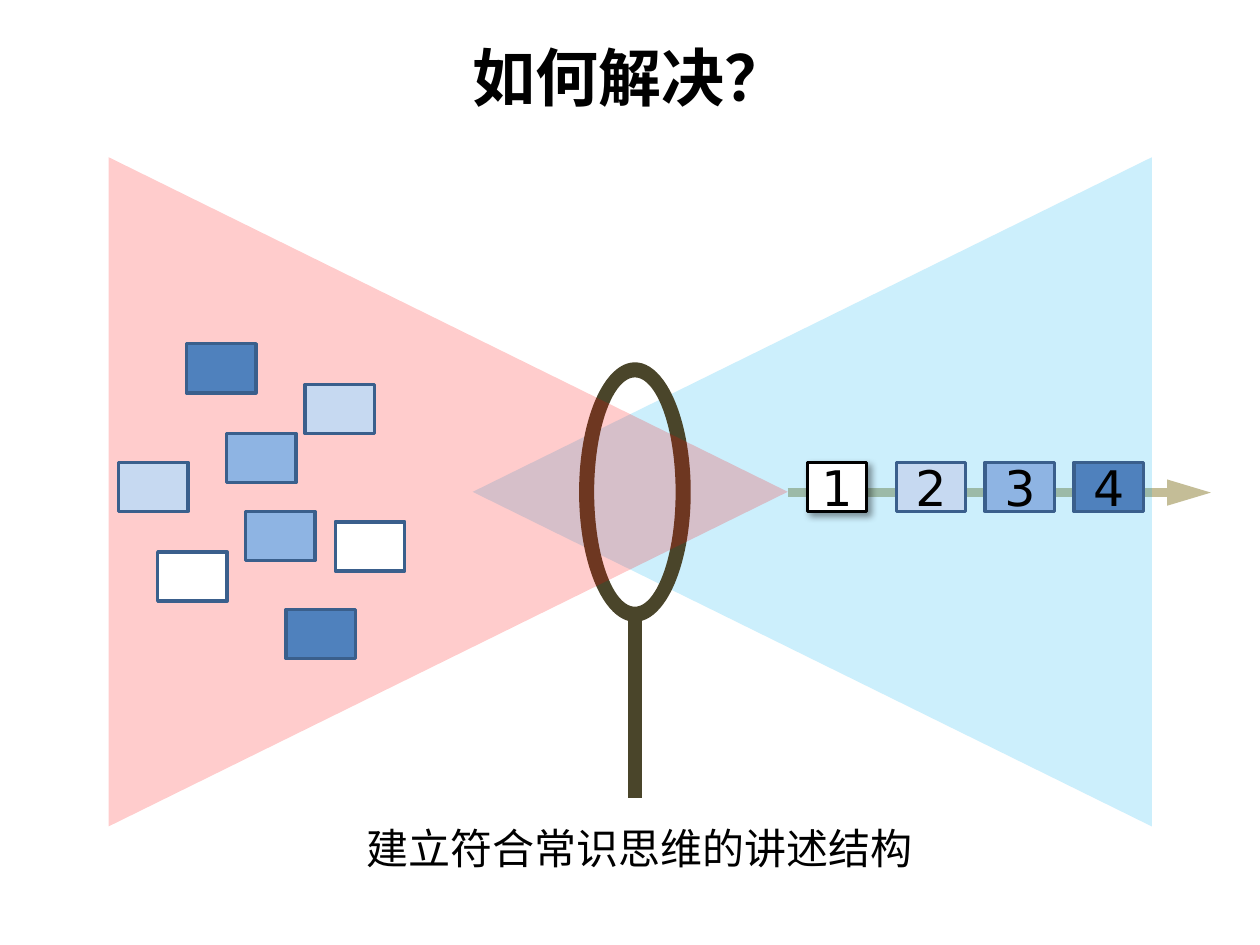
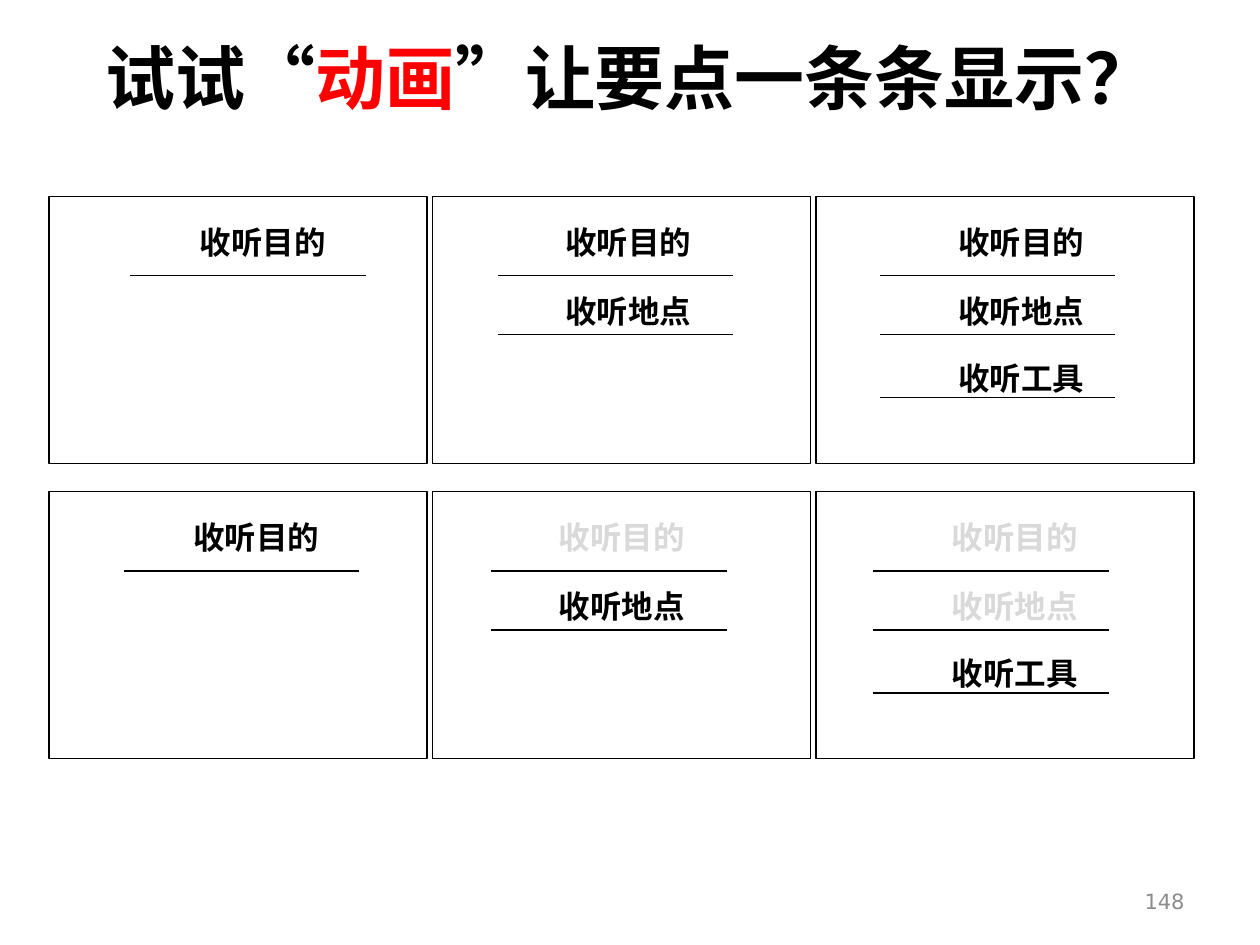
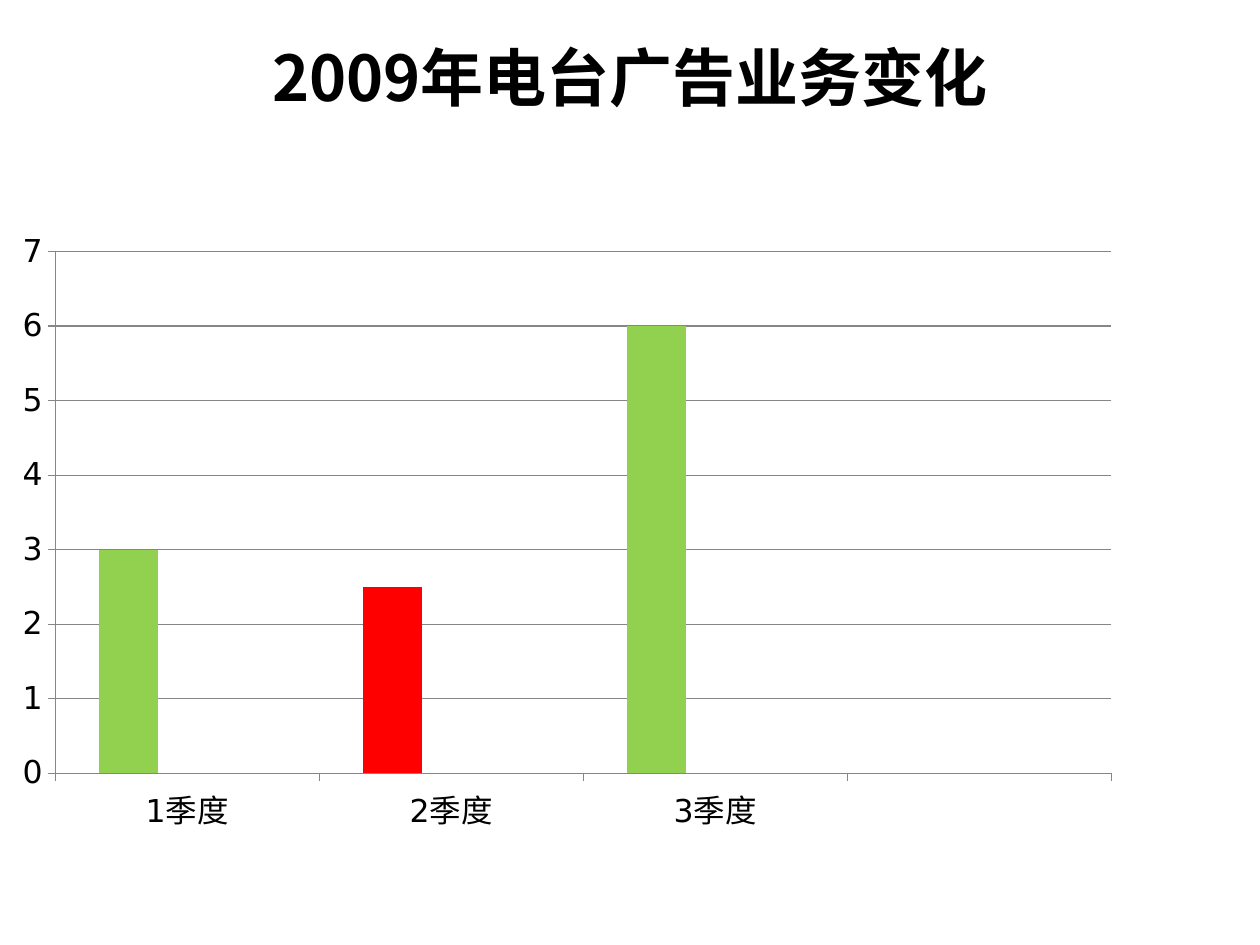
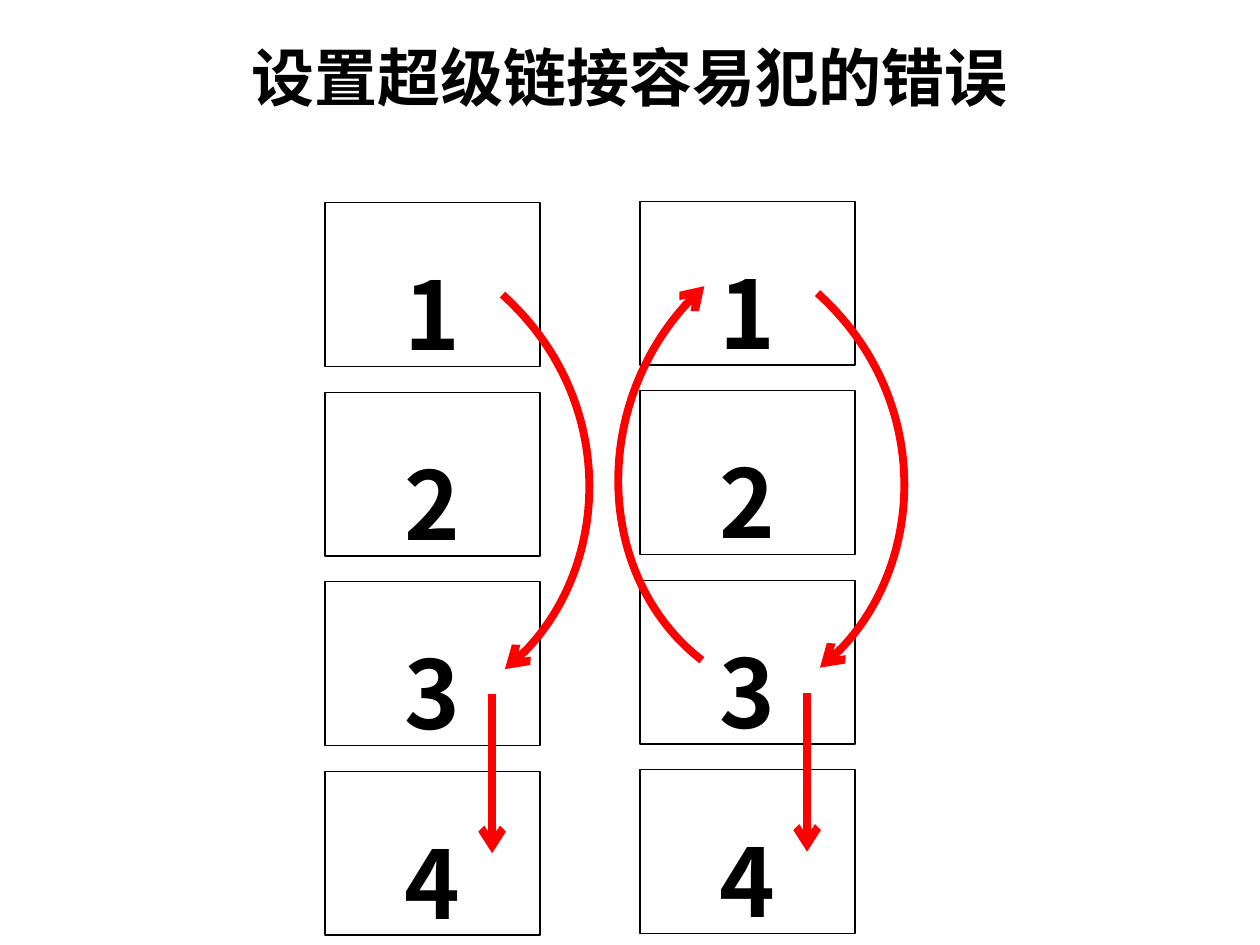
from lxml.etree import SubElement
from pptx import Presentation
from pptx.chart.data import CategoryChartData
from pptx.dml.color import RGBColor
from pptx.enum.chart import XL_CHART_TYPE, XL_TICK_MARK
from pptx.enum.shapes import MSO_CONNECTOR, MSO_SHAPE
from pptx.enum.text import MSO_ANCHOR, MSO_AUTO_SIZE, PP_ALIGN
from pptx.oxml.ns import qn
from pptx.util import Cm, Pt

BLACK = RGBColor(0x00, 0x00, 0x00)
WHITE = RGBColor(0xFF, 0xFF, 0xFF)
RED = RGBColor(0xFF, 0x00, 0x00)
GREEN = RGBColor(0x92, 0xD0, 0x50)
SKY = RGBColor(0x00, 0xB0, 0xF0)
SAND = RGBColor(0xC4, 0xBD, 0x97)
OLIVE = RGBColor(0x4A, 0x45, 0x2A)
BLUE = RGBColor(0x4F, 0x81, 0xBD)
MID_BLUE = RGBColor(0x8E, 0xB4, 0xE3)
PALE_BLUE = RGBColor(0xC6, 0xD9, 0xF1)
CARD_EDGE = RGBColor(0x3A, 0x5F, 0x8C)
BRICK = RGBColor(0xC0, 0x50, 0x4D)
LEAF = RGBColor(0x9B, 0xBB, 0x59)
FADED = RGBColor(0xD9, 0xD9, 0xD9)
PAGE_GRAY = RGBColor(0x8C, 0x8C, 0x8C)
GRID_GRAY = RGBColor(0x86, 0x86, 0x86)

CJK = "Noto Sans CJK SC"
SANS = "DejaVu Sans"
TITLE_FONT = {"name": CJK, "size": Pt(36), "bold": True}
CAPTION_FONT = {"name": CJK, "size": Pt(24)}
POINT_FONT = {"name": CJK, "size": Pt(18), "bold": True}
STEP_FONT = {"name": CJK, "size": Pt(54), "bold": True}
CARD_FONT = {"name": SANS, "size": Pt(28)}
PAGE_FONT = {"name": SANS, "size": Pt(12)}
CHART_FONT = {"name": SANS, "size": Pt(18)}
CENTERED = {"alignment": PP_ALIGN.CENTER}
STEP_PARAGRAPH = {**CENTERED, "line_spacing": 1.5, "space_after": Pt(6)}
MIDDLE = {"word_wrap": True, "vertical_anchor": MSO_ANCHOR.MIDDLE}
GROWING = {"word_wrap": True, "auto_size": MSO_AUTO_SIZE.SHAPE_TO_FIT_TEXT}
UNWRAPPED = {**GROWING, "word_wrap": False}


def apply(target, values):
    for attribute, value in values.items():
        setattr(target, attribute, value)


def write(frame, runs, font, paragraph=CENTERED, layout=MIDDLE):
    apply(frame, layout)
    line = frame.paragraphs[0]
    apply(line, paragraph)
    for text, color in runs:
        run = line.add_run()
        run.text = text
        apply(run.font, font)
        run.font.color.rgb = color
        properties = run.font._element
        properties.set("lang", "zh-CN")
        SubElement(properties, qn("a:ea"), typeface=font["name"])


def add_text(shapes, box, runs, font, **options):
    textbox = shapes.add_textbox(*map(Cm, box))
    write(textbox.text_frame, runs, font, **options)


def add_title(slide, *runs, size=36):
    add_text(slide.shapes, (1.27, 0.53, 22.86, 2.01), runs,
             {**TITLE_FONT, "size": Pt(size)})


def set_line(line, color, width):
    line.color.rgb = color
    line.width = Pt(width)


def add_figure(shapes, kind, box, fill=None, edge=None, width=0.75):
    figure = shapes.add_shape(kind, *map(Cm, box))
    figure.shadow.inherit = False
    if fill is None:
        figure.fill.background()
    else:
        figure.fill.solid()
        figure.fill.fore_color.rgb = fill
    if edge is None:
        figure.line.fill.background()
    else:
        set_line(figure.line, edge, width)
    return figure


def add_arrowhead(line, end, kind, length="med"):
    SubElement(line._get_or_add_ln(), qn(f"a:{end}End"),
               type=kind, w="med", len=length)


def add_line(shapes, start, end, color=BLACK, width=0.75):
    line = shapes.add_connector(MSO_CONNECTOR.STRAIGHT, *map(Cm, start + end))
    set_line(line.line, color, width)
    SubElement(line._element.spPr, qn("a:effectLst"))
    return line


def add_curve(shapes, points, arrow_end):
    start, *others = [(Cm(x), Cm(y)) for x, y in points]
    builder = shapes.build_freeform(*start)
    builder.add_line_segments(others, close=False)
    curve = builder.convert_to_shape()
    curve.shadow.inherit = False
    curve.fill.background()
    set_line(curve.line, RED, 4.5)
    add_arrowhead(curve.line, arrow_end, "arrow")
    segments = list(curve._element.iter(qn("a:lnTo")))
    outline = segments[0].getparent()
    bezier = SubElement(outline, qn("a:cubicBezTo"))
    for segment in segments:
        bezier.append(segment[0])
        outline.remove(segment)


def add_beam(shapes, left, color, rotation):
    beam = add_figure(shapes, MSO_SHAPE.ISOSCELES_TRIANGLE,
                      (left, 3.07, 13.49, 13.69), color)
    beam.rotation = rotation
    tint = beam._element.spPr.find(f"{qn('a:solidFill')}/{qn('a:srgbClr')}")
    SubElement(tint, qn("a:alpha"), val="20000")


def add_card(shapes, left, top, fill, number=None, edge=CARD_EDGE, width=1.4):
    card = add_figure(shapes, MSO_SHAPE.RECTANGLE, (left, top, width, 0.99),
                      fill, edge, 2)
    if number:
        write(card.text_frame, [(number, BLACK)], CARD_FONT)
    return card


def add_card_shadow(card):
    effects = card._element.spPr.find(qn("a:effectLst"))
    shadow = SubElement(effects, qn("a:outerShdw"), blurRad=str(Pt(4)),
                        dist=str(Pt(3)), dir="2700000", algn="tl", rotWithShape="0")
    color = SubElement(shadow, qn("a:srgbClr"), val=str(BLACK))
    SubElement(color, qn("a:alpha"), val="40000")


def build_lens(slide):
    shapes = slide.shapes
    sequence = add_line(shapes, (15.88, 9.93), (24.41, 9.93), SAND, 5)
    add_arrowhead(sequence.line, "tail", "triangle", "lg")
    add_title(slide, ("如何解决？", BLACK))
    add_beam(shapes, 9.63, SKY, 270)
    add_text(shapes, (4.57, 16.46, 16.66, 1.27), [("建立符合常识思维的讲述结构", BLACK)],
             CAPTION_FONT, layout=GROWING)
    lens = add_figure(shapes, MSO_SHAPE.DONUT, (11.71, 7.34, 2.18, 5.16),
                      OLIVE, OLIVE, 2)
    lens.adjustments[0] = 0.107
    add_beam(shapes, 2.29, RED, 90)
    add_line(shapes, (12.8, 12.5), (12.8, 16.08), OLIVE, 8)

    scattered = [
        (3.76, 6.93, BLUE), (4.57, 8.74, MID_BLUE), (6.15, 7.75, PALE_BLUE),
        (3.18, 11.13, WHITE), (6.76, 10.52, WHITE), (4.95, 10.31, MID_BLUE),
        (5.77, 12.29, BLUE), (2.39, 9.32, PALE_BLUE),
    ]
    for left, top, fill in scattered:
        add_card(shapes, left, top, fill)

    add_card_shadow(add_card(shapes, 16.28, 9.32, WHITE, "1", BLACK, 1.19))
    for place, fill in enumerate((PALE_BLUE, MID_BLUE, BLUE), 1):
        add_card(shapes, 16.28 + 1.79 * place, 9.32, fill, str(place + 1))


def add_panel(shapes, column, top, shift, fade):
    points = ("收听目的", "收听地点", "收听工具")[:column + 1]
    rule_left = (2.62, 10.03, 17.73)[column] - shift
    text_left = (3.76, 11.13, 19.05)[column] - shift
    add_figure(shapes, MSO_SHAPE.RECTANGLE,
               (0.99 + 7.73 * column, top, 7.62, 5.38), edge=BLACK)
    for offset in (1.6, 2.79, 4.06)[:column + 1]:
        add_line(shapes, (rule_left, top + offset), (rule_left + 4.75, top + offset))
    for point, offset in zip(points, (0.41, 1.8, 3.15)):
        color = FADED if fade and point != points[-1] else BLACK
        add_text(shapes, (text_left, top + offset, 3.07, 1.02),
                 [(point, color)], POINT_FONT, layout=UNWRAPPED)


def build_animation(slide):
    add_text(slide.shapes, (18.21, 17.65, 5.92, 1.02), [("148", PAGE_GRAY)],
             PAGE_FONT, paragraph={"alignment": PP_ALIGN.RIGHT})
    add_title(slide, ("试试“", BLACK), ("动画", RED),
              ("”让要点一条条显示？", BLACK), size=40)
    for column in range(3):
        add_panel(slide.shapes, column, 3.96, 0, False)
    for column in range(3):
        add_panel(slide.shapes.add_group_shape().shapes, column, 9.91, 0.13, True)


def build_chart(slide):
    add_title(slide, ("2009年电台广告业务变化", BLACK))
    data = CategoryChartData()
    data.categories = ["1季度", "2季度", "3季度", ""]
    data.add_series("Series 1", (3, 2.5, 6, None))
    for name in ("Series 2", "Series 3"):
        data.add_series(name, (None,) * 4)
    chart = slide.shapes.add_chart(XL_CHART_TYPE.COLUMN_CLUSTERED,
                                   Cm(0), Cm(4.45), Cm(22.86), Cm(12.57), data).chart
    apply(chart, {"has_legend": False, "has_title": False})
    apply(chart.font, CHART_FONT)
    chart.font.color.rgb = BLACK

    plot = chart.plots[0]
    apply(plot, {"gap_width": 150, "overlap": 0, "vary_by_categories": False})
    for series, color in zip(plot.series, (BLUE, BRICK, LEAF)):
        series.format.fill.solid()
        series.format.fill.fore_color.rgb = color
    for quarter, color in enumerate((GREEN, RED, GREEN)):
        bar = plot.series[0].points[quarter].format.fill
        bar.solid()
        bar.fore_color.rgb = color

    amounts = chart.value_axis
    apply(amounts, {"minimum_scale": 0, "maximum_scale": 7, "major_unit": 1,
                    "has_major_gridlines": True})
    set_line(amounts.major_gridlines.format.line, GRID_GRAY, 0.75)
    for axis in (amounts, chart.category_axis):
        axis.major_tick_mark = XL_TICK_MARK.OUTSIDE
        set_line(axis.format.line, GRID_GRAY, 0.75)


def add_step_column(shapes, left, top):
    for step in range(4):
        page = add_figure(shapes, MSO_SHAPE.RECTANGLE,
                          (left, top + 3.82 * step, 4.34, 3.3), WHITE, BLACK)
        write(page.text_frame, [(str(step + 1), BLACK)], STEP_FONT, STEP_PARAGRAPH)
    jump = ((3.58, 1.85), (5.92, 3.96), (5.75, 7.77), (3.63, 9.4))
    add_curve(shapes, [(left + x, top + y) for x, y in jump], "tail")
    following = add_line(shapes, (left + 3.37, top + 9.91),
                         (left + 3.37, top + 13.11), RED, 4.5)
    add_arrowhead(following.line, "tail", "arrow")


def build_links(slide):
    add_title(slide, ("设置超级链接容易犯的错误", BLACK))
    add_step_column(slide.shapes, 6.55, 4.09)
    add_step_column(slide.shapes, 12.9, 4.06)
    add_curve(slide.shapes,
              [(14.2, 5.77), (11.86, 7.87), (12.04, 11.68), (14.15, 13.31)], "head")


def main():
    deck = Presentation()
    apply(deck, {"slide_width": Cm(25.4), "slide_height": Cm(19.05)})
    for build in (build_lens, build_animation, build_chart, build_links):
        build(deck.slides.add_slide(deck.slide_layouts[6]))
    deck.save("out.pptx")


if __name__ == "__main__":
    main()
